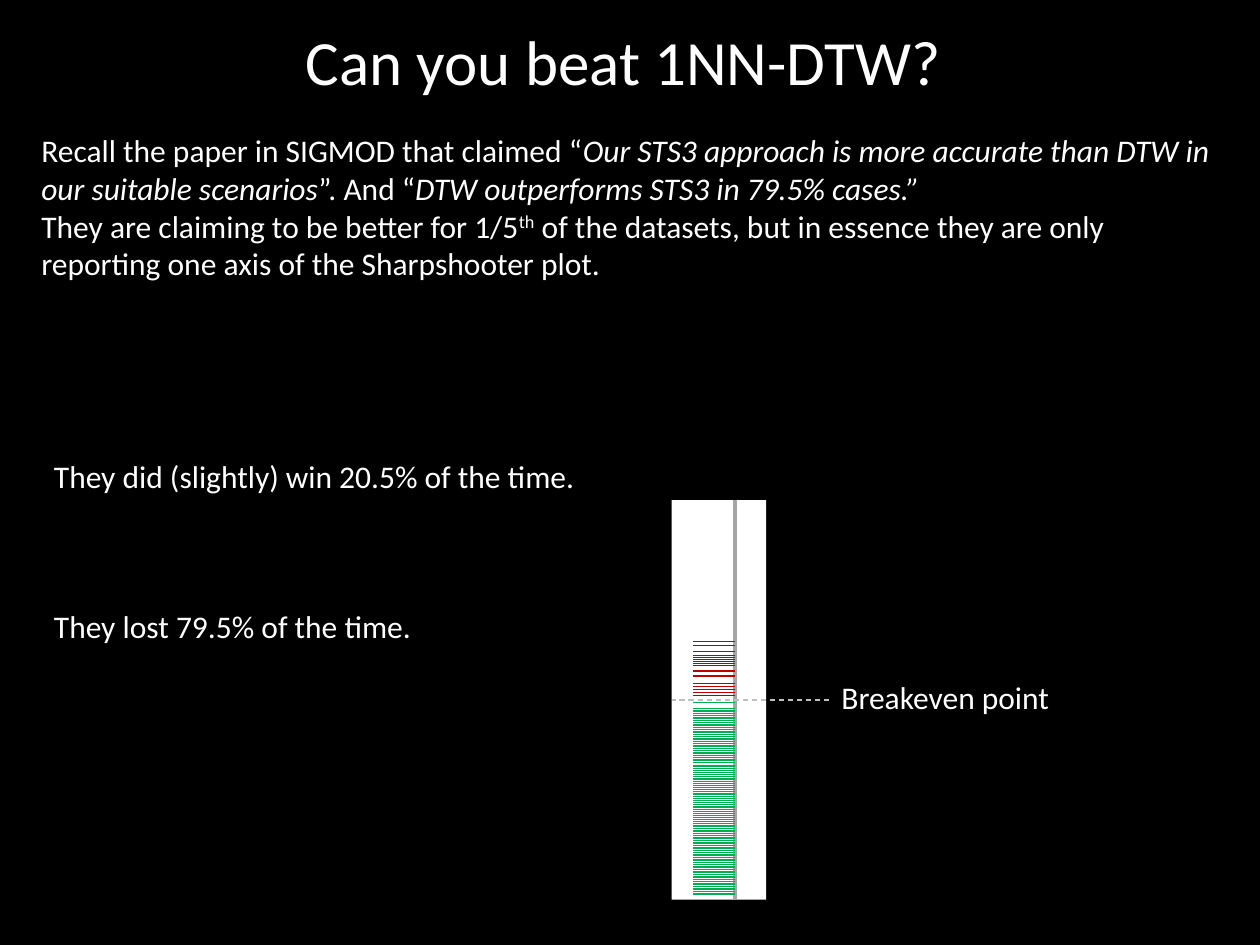
from collections import namedtuple

from lxml import etree
from pptx import Presentation
from pptx import util as u
from pptx.dml.color import RGBColor
from pptx.enum import dml, shapes, text
from pptx.oxml import ns

BLACK = RGBColor(0x00, 0x00, 0x00)
WHITE = RGBColor(0xFF, 0xFF, 0xFF)
AXIS_GREY = RGBColor(0xA6, 0xA6, 0xA6)
BREAKEVEN_GREY = RGBColor(0xBF, 0xBF, 0xBF)
WIN_RED = RGBColor(0xC0, 0x00, 0x00)
LOSS_GREEN = RGBColor(0x00, 0xB0, 0x50)

WIDTH, HEIGHT = u.Inches(10), u.Inches(7.5)
COLUMN, ROW = WIDTH / 1000, HEIGHT / 750
FONT = "Calibri"

Band = namedtuple("Band", "first step count")
WIN_BANDS = [Band(112, 3, 2), Band(120, 3, 2), Band(124.6, 1.6, 5),
             Band(135, 1, 2), Band(139, 1, 2), Band(145, 2.5, 5)]
LOSS_BANDS = [Band(160, 0, 1), Band(165, 1.39, 32),
              Band(210, 1.48, 30), Band(255, 1.35, 44)]

CLAIM = [
    [("Recall the paper in SIGMOD that claimed “", ""),
     ("Our STS3 approach is more accurate than DTW in our suitable scenarios", "italic"),
     ("”. And “", ""),
     ("DTW outperforms STS3 in 79.5% cases.”", "italic")],
    [("They are claiming to be better for 1/5", ""),
     ("th", "super"),
     (" of the datasets, but in essence they are only reporting one axis "
      "of the Sharpshooter plot.", "")],
]
RESULTS = [
    [("They did (slightly) win 20.5% of the time.", "")],
    [("They lost 79.5% of the time.", "")],
]


def grid(left, top, width, height):
    """Turn a box in columns and rows into slide lengths."""
    return [round(n) for n in (left * COLUMN, top * ROW, width * COLUMN, height * ROW)]


def add_text(slide, box, paragraphs, size=18, gap=0, wrap=True):
    """Place white paragraphs in a box, with a gap in points between them."""
    frame = slide.shapes.add_textbox(*grid(*box)).text_frame
    frame.word_wrap = wrap
    for index, runs in enumerate(paragraphs):
        paragraph = frame.paragraphs[0] if index == 0 else frame.add_paragraph()
        if index and gap:
            paragraph.space_before = u.Pt(gap)
        for words, style in runs:
            run = paragraph.add_run()
            run.text = words
            run.font.name = FONT
            run.font.size = u.Pt(size)
            run.font.color.rgb = WHITE
            if style == "italic":
                run.font.italic = True
            elif style == "super":
                run._r.get_or_add_rPr().set("baseline", "30000")
    return frame


def add_title(slide, box):
    """Place the centred title in its box."""
    frame = add_text(slide, box, [[("Can you beat 1NN-DTW? ", "")]], size=36)
    frame.vertical_anchor = text.MSO_ANCHOR.MIDDLE
    frame.paragraphs[0].alignment = text.PP_ALIGN.CENTER


def add_line(slide, start, end, color, weight):
    """Draw a straight line between two grid points."""
    line = slide.shapes.add_connector(
        shapes.MSO_CONNECTOR.STRAIGHT, *grid(*start, *end))
    line.line.color.rgb = color
    line.line.width = u.Pt(weight)
    etree.SubElement(line._element.spPr, ns.qn("a:effectLst"))
    return line


def add_strip(slide, box):
    """Place the plain white strip behind the ticks."""
    strip = slide.shapes.add_shape(shapes.MSO_SHAPE.RECTANGLE, *grid(*box))
    strip.shadow.inherit = False
    strip.fill.solid()
    strip.fill.fore_color.rgb = WHITE
    strip.line.fill.background()
    return strip


def add_ticks(slide, axis, top, length, bands, color):
    """Draw one tick per dataset, evenly spaced within each band below the top."""
    for band in bands:
        for index in range(band.count):
            row = top + band.first + index * band.step
            add_line(slide, (axis, row), (axis - length, row), color, 0.25)


def add_breakeven(slide, strip, box, reach):
    """Draw the dashed line through the middle of the strip and label it."""
    left, top, width, height = box
    middle = top + height / 2
    label_left = left + width + reach
    line = add_line(slide, (label_left, middle), (left, middle), BREAKEVEN_GREY, 0.75)
    line.line.dash_style = dml.MSO_LINE.DASH
    line.end_connect(strip, 1)
    add_text(slide, (label_left, middle - 22.5, 187, 40),
             [[("Breakeven point", "")]], wrap=False)


def add_sharpshooter_axis(slide, box):
    """Draw the strip of wins and losses with its axis and breakeven point."""
    left, top, width, height = box
    axis = left + width * 2 / 3
    strip = add_strip(slide, box)
    add_line(slide, (axis, top + height), (axis, top), AXIS_GREY, 2.25)
    for bands, color in ((WIN_BANDS, WIN_RED), (LOSS_BANDS, LOSS_GREEN)):
        add_ticks(slide, axis, top, width * 0.44, bands, color)
    add_breakeven(slide, strip, box, width * 2 / 3)


def main():
    """Build the slide and save it."""
    deck = Presentation()
    deck.slide_width, deck.slide_height = WIDTH, HEIGHT
    slide = deck.slides.add_slide(deck.slide_layouts[6])
    slide.background.fill.solid()
    slide.background.fill.fore_color.rgb = BLACK

    add_text(slide, (23, 99, 961, 215), CLAIM)
    add_text(slide, (33, 358, 450, 162), RESULTS, gap=64)
    add_title(slide, (17, 0, 967, 96))
    add_sharpshooter_axis(slide, (533, 397, 75, 317))
    deck.save("out.pptx")


if __name__ == "__main__":
    main()
